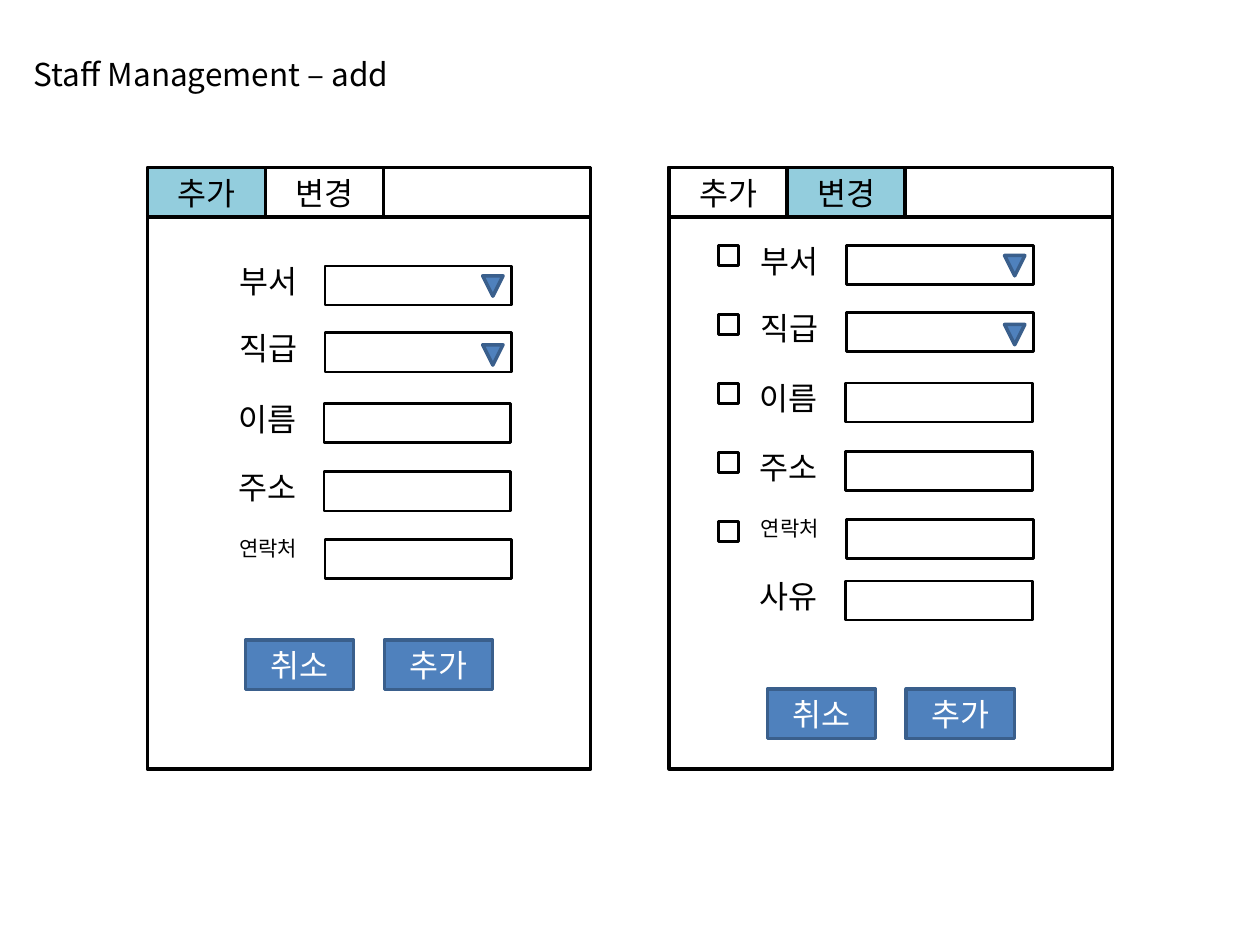
from dataclasses import dataclass
from typing import Optional

from lxml import etree
from pptx import Presentation
from pptx.dml.color import RGBColor
from pptx.enum.shapes import MSO_SHAPE
from pptx.enum.text import MSO_ANCHOR, MSO_AUTO_SIZE, PP_ALIGN
from pptx.oxml.ns import qn
from pptx.shapes.autoshape import Shape
from pptx.shapes.shapetree import SlideShapes
from pptx.text.text import TextFrame
from pptx.util import Cm, Pt

RECTANGLE = MSO_SHAPE.RECTANGLE
TRIANGLE = MSO_SHAPE.ISOSCELES_TRIANGLE
CENTER = PP_ALIGN.CENTER
MIDDLE = MSO_ANCHOR.MIDDLE
GROW = MSO_AUTO_SIZE.SHAPE_TO_FIT_TEXT


@dataclass(frozen=True)
class Theme:
    font: str = "Noto Sans CJK KR"
    body: float = 18
    small: float = 12
    ink: str = "000000"
    inverse: str = "FFFFFF"
    active: str = "93CDDD"
    accent: str = "4F81BD"
    accent_edge: str = "3A5F8C"
    heavy: float = 2
    light: float = 1.5


@dataclass(frozen=True)
class Box:
    left: float
    top: float
    width: float
    height: float


@dataclass(frozen=True)
class Field:
    label: str
    offset: float
    shift: float = 0
    size: float = Theme.body
    dropdown: bool = False
    checkable: bool = True


@dataclass(frozen=True)
class Panel:
    left: float
    active_tab: str
    fields_top: float
    buttons_top: float
    fields: tuple[Field, ...]
    checkboxes: bool


THEME = Theme()
TITLE = "Staff Management – add"
TABS = ("추가", "변경")
BUTTONS = ("취소", "추가")
PANEL_TOP, PANEL_WIDTH, PANEL_HEIGHT = 3.38, 8.94, 12.12
BAR_HEIGHT, TAB_WIDTH = 1.0, 2.38
BUTTON_INSET, BUTTON_WIDTH, BUTTON_PITCH = 1.98, 2.18, 2.8
LABEL_INSET, LABEL_RISE, LABEL_WIDTH = 1.6, 0.2, 1.8
INPUT_INSET, INPUT_WIDTH, INPUT_HEIGHT = 3.58, 3.76, 0.79
CHECK_INSET, ARROW_INSET, ARROW_DROP = 0.99, 6.76, 0.2
MARK_SIZE, MARK_PITCH = 0.41, 1.39

STAFF_FIELDS = (
    Field("부서", 0, dropdown=True),
    Field("직급", 1.35, dropdown=True),
    Field("이름", 2.77, shift=-0.02),
    Field("주소", 4.15, shift=-0.02),
    Field("연락처", 5.52, size=THEME.small),
)
REASON = Field("사유", 6.76, shift=-0.02, checkable=False)
PANELS = (
    Panel(2.97, "추가", 5.36, 12.9, STAFF_FIELDS, False),
    Panel(13.49, "변경", 4.95, 13.89, STAFF_FIELDS + (REASON,), True),
)


def write(frame: TextFrame, text: str, size: float, color: str) -> None:
    frame.text = text
    for run in frame.paragraphs[0].runs:
        run.font.size = Pt(size)
        run.font.name = THEME.font
        run.font.color.rgb = RGBColor.from_string(color)
        east_asian = etree.SubElement(run.font._element, qn("a:ea"))
        east_asian.set("typeface", THEME.font)


def draw_shape(shapes: SlideShapes, box: Box, weight: float, fill: Optional[str] = None,
               edge: str = THEME.ink, kind: MSO_SHAPE = RECTANGLE) -> Shape:
    shape = shapes.add_shape(kind, Cm(box.left), Cm(box.top), Cm(box.width), Cm(box.height))
    shape.shadow.inherit = False
    if fill:
        shape.fill.solid()
        shape.fill.fore_color.rgb = RGBColor.from_string(fill)
    else:
        shape.fill.background()
    shape.line.color.rgb = RGBColor.from_string(edge)
    shape.line.width = Pt(weight)
    return shape


def draw_caption(shape: Shape, text: str, color: str) -> None:
    frame = shape.text_frame
    write(frame, text, THEME.body, color)
    frame.vertical_anchor = MIDDLE
    frame.paragraphs[0].alignment = CENTER


def draw_text(shapes: SlideShapes, box: Box, text: str, size: float, wrap: bool = True) -> None:
    frame = shapes.add_textbox(Cm(box.left), Cm(box.top), Cm(box.width), Cm(box.height)).text_frame
    write(frame, text, size, THEME.ink)
    frame.word_wrap = wrap
    frame.auto_size = GROW


def draw_field(shapes: SlideShapes, panel: Panel, index: int, field: Field) -> None:
    left = panel.left + field.shift
    top = panel.fields_top + field.offset
    mark_top = panel.fields_top + index * MARK_PITCH
    label_height = 1.03 if field.size == THEME.body else 0.77
    draw_text(shapes, Box(left + LABEL_INSET, top - LABEL_RISE, LABEL_WIDTH, label_height),
              field.label, field.size)
    draw_shape(shapes, Box(left + INPUT_INSET, top, INPUT_WIDTH, INPUT_HEIGHT), THEME.light)
    if field.dropdown:
        arrow_box = Box(panel.left + ARROW_INSET, mark_top + ARROW_DROP, MARK_SIZE, MARK_SIZE)
        arrow = draw_shape(shapes, arrow_box, THEME.heavy, THEME.accent,
                           THEME.accent_edge, TRIANGLE)
        arrow.rotation = 180
    if panel.checkboxes and field.checkable:
        draw_shape(shapes, Box(panel.left + CHECK_INSET, mark_top, MARK_SIZE, MARK_SIZE),
                   THEME.light)


def draw_panel(shapes: SlideShapes, panel: Panel) -> None:
    for height in (PANEL_HEIGHT, BAR_HEIGHT):
        draw_shape(shapes, Box(panel.left, PANEL_TOP, PANEL_WIDTH, height), THEME.heavy)
    for index, caption in enumerate(TABS):
        tab_box = Box(panel.left + index * TAB_WIDTH, PANEL_TOP, TAB_WIDTH, BAR_HEIGHT)
        fill = THEME.active if caption == panel.active_tab else None
        draw_caption(draw_shape(shapes, tab_box, THEME.heavy, fill), caption, THEME.ink)
    for index, field in enumerate(panel.fields):
        draw_field(shapes, panel, index, field)
    for index, caption in enumerate(BUTTONS):
        button_box = Box(panel.left + BUTTON_INSET + index * BUTTON_PITCH,
                         panel.buttons_top, BUTTON_WIDTH, BAR_HEIGHT)
        button = draw_shape(shapes, button_box, THEME.heavy, THEME.accent, THEME.accent_edge)
        draw_caption(button, caption, THEME.inverse)


def main() -> None:
    deck = Presentation()
    deck.slide_width, deck.slide_height = Cm(25.4), Cm(19.05)
    shapes = deck.slides.add_slide(deck.slide_layouts[6]).shapes
    draw_text(shapes, Box(0.43, 0.99, 7.77, 1.03), TITLE, THEME.body, wrap=False)
    for panel in PANELS:
        draw_panel(shapes, panel)
    deck.save("out.pptx")


if __name__ == "__main__":
    main()
